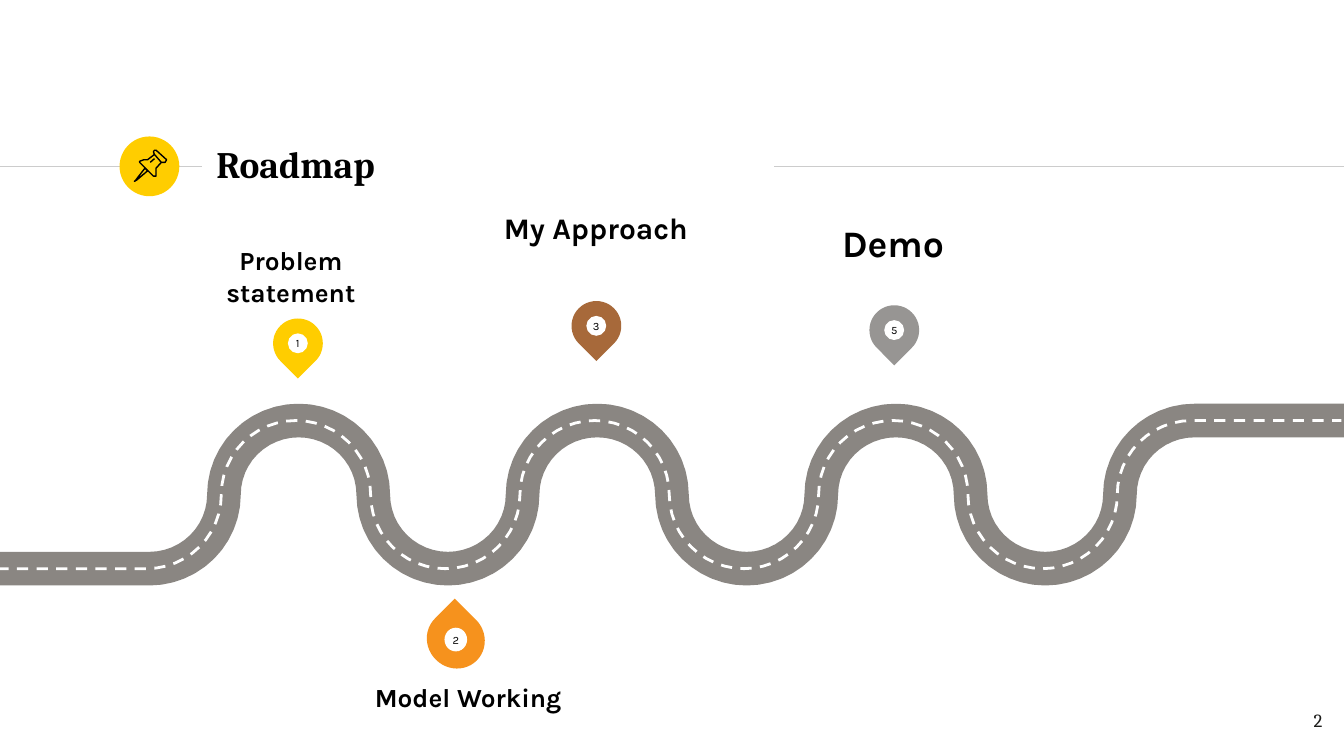
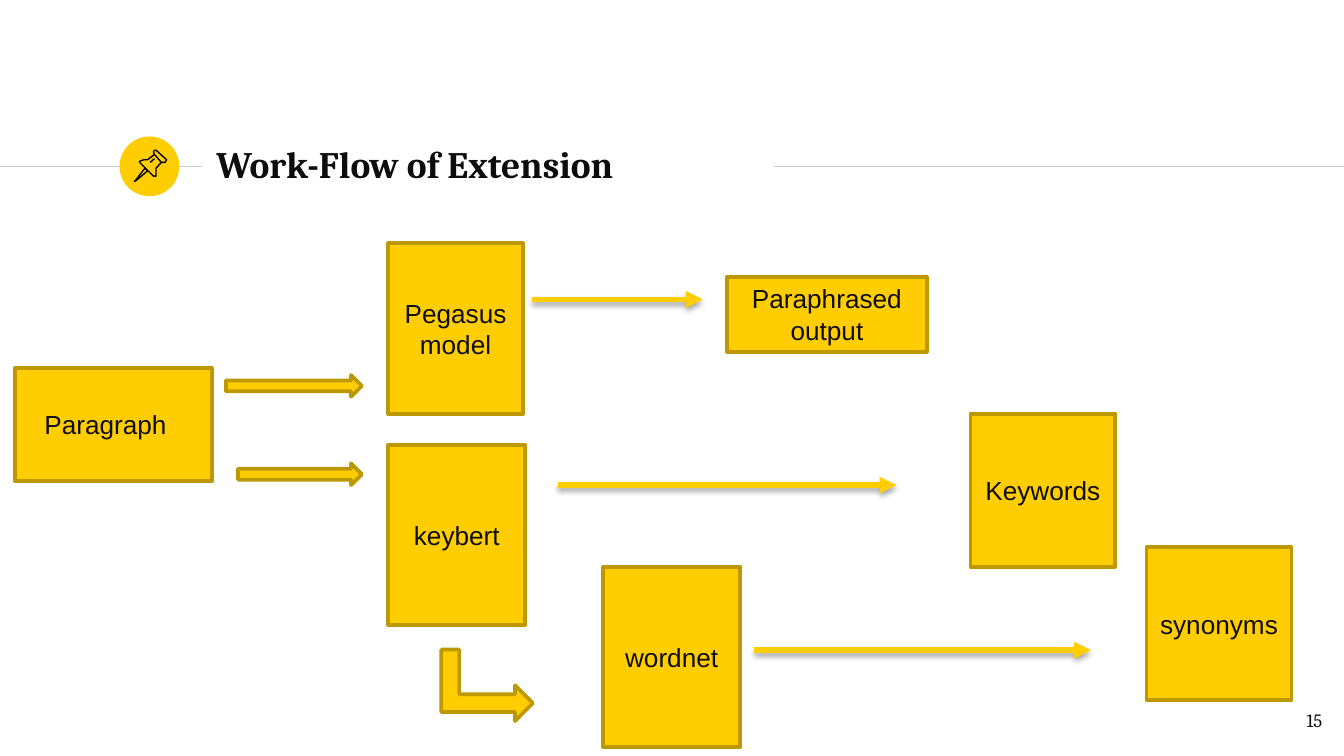
from math import cos, pi, sin

from lxml.etree import SubElement
from pptx import Presentation
from pptx.dml.color import RGBColor
from pptx.enum.dml import MSO_LINE
from pptx.enum.shapes import MSO_CONNECTOR, MSO_SHAPE
from pptx.enum.text import MSO_ANCHOR, PP_ALIGN
from pptx.oxml.ns import qn
from pptx.util import Cm, Pt

COLORS = {
    "yellow": "FFCD00", "gold": "BD9800", "brown": "A7693A",
    "gray": "979593", "orange": "F6921D", "road": "8A8682",
    "rule": "CCCCCC", "black": "000000", "white": "FFFFFF",
    "ink": "0D0D0D", "number": "1D1D1B",
}
WIDTH, HEIGHT = 25.4, 14.29

RULES = [(0, 3.81), (14.63, 25.4)]
RULE_Y = 3.15
PUSHPIN = [
    ([(2.74, 3.18), (2.57, 3.4), (2.54, 3.43), (2.59, 3.4), (2.79, 3.23)], True),
    ([(2.92, 2.92), (3.05, 3.07), (3.12, 3.07), (3.15, 3.02), (2.95, 2.84),
      (2.92, 2.84), (2.9, 2.87)], True),
    ([(2.92, 2.92), (2.79, 3.02), (2.72, 3.02), (2.64, 3.05), (2.64, 3.07),
      (2.9, 3.33), (2.95, 3.33), (2.95, 3.18), (3.05, 3.07)], False),
    ([(2.84, 3.07), (2.92, 3)], False),
]

ROAD_STEP, ROAD_MID, ROAD_RISE = WIDTH / 18, 9.35, 1.4
ROAD_TURNS = 8
ROAD_LAYERS = [(0, "road", 18, None), (-0.05, "white", 1.5, MSO_LINE.DASH)]

MARKERS = [
    ("1", "yellow", (5.16, 6.02, 0.94, 0.94), 135),
    ("3", "brown", (10.8, 5.69, 0.94, 0.94), 135),
    ("5", "gray", (16.43, 5.77, 0.94, 0.94), 135),
    ("2", "orange", (8.08, 11.53, 1.07, 1.12), 315),
]
STOPS = [
    ("Problem statement", 3.71, 4.34, 14, MSO_ANCHOR.BOTTOM, 0),
    ("My Approach", 9.47, 3.84, 16, MSO_ANCHOR.BOTTOM, 0.66),
    ("Demo", 15.09, 3.53, 20, MSO_ANCHOR.BOTTOM, 0),
    ("Model Working", 7.06, 12.88, 14, MSO_ANCHOR.TOP, 0),
]

BOXES = [
    ("Paragraph", (0.28, 6.96, 3.73, 2.13), 0.5),
    ("Pegasus model", (7.34, 4.6, 2.54, 3.23), 0.2),
    ("Paraphrased\noutput", (13.74, 5.23, 3.78, 1.42), 0.2),
    ("keybert", (7.34, 8.41, 2.59, 3.4), 0.2),
    ("wordnet", (11.4, 10.72, 2.59, 3.4), 0.2),
    ("Keywords", (18.34, 7.82, 2.74, 2.9), 0.2),
    ("synonyms", (21.67, 10.34, 2.74, 2.9), 0.2),
]
BLOCK_ARROWS = [
    (MSO_SHAPE.RIGHT_ARROW, (4.27, 7.09, 2.57, 0.41), 0),
    (MSO_SHAPE.RIGHT_ARROW, (4.5, 8.76, 2.34, 0.41), 0),
    (MSO_SHAPE.BENT_UP_ARROW, (8.53, 12.09, 1.35, 1.73), 90),
]
FLOW_ARROWS = [(10.54, 16.94, 9.17), (10.06, 13.28, 5.66), (14.25, 20.62, 12.29)]


def rgb(name):
    return RGBColor.from_string(COLORS[name])


def set_line(sp, color, width):
    sp.line.color.rgb = rgb(color)
    sp.line.width = Pt(width)


def add_shape(shapes, kind, box, fill, line=None, rotation=0):
    sp = shapes.add_shape(kind, *map(Cm, box))
    sp.shadow.inherit = False
    sp.rotation = rotation
    sp.fill.solid()
    sp.fill.fore_color.rgb = rgb(fill)
    if line:
        set_line(sp, line, 2)
    else:
        sp.line.fill.background()
    return sp


def add_path(shapes, points, color, width, closed=False):
    pts = [(Cm(x), Cm(y)) for x, y in points]
    builder = shapes.build_freeform(*pts[0])
    builder.add_line_segments(pts[1:], close=closed)
    sp = builder.convert_to_shape()
    sp.shadow.inherit = False
    sp.fill.background()
    set_line(sp, color, width)
    return sp


def add_line(slide, x1, x2, y, color, width):
    cx = slide.shapes.add_connector(
        MSO_CONNECTOR.STRAIGHT, Cm(x1), Cm(y), Cm(x2), Cm(y))
    set_line(cx, color, width)
    effects = SubElement(cx._element.spPr, qn("a:effectLst"))
    return cx, effects


def write(sp, text, font, size, color, bold=False, align=PP_ALIGN.CENTER,
          anchor=MSO_ANCHOR.MIDDLE, insets=(0, 0, 0, 0)):
    tf = sp.text_frame
    tf.word_wrap = True
    tf.vertical_anchor = anchor
    tf.margin_left, tf.margin_top, tf.margin_right, tf.margin_bottom = map(Cm, insets)
    tf.text = text
    for p in tf.paragraphs:
        p.alignment = align
        p.font.name = font
        p.font.size = Pt(size)
        p.font.bold = bold
        p.font.color.rgb = rgb(color)


def add_text(slide, box, *args, **options):
    write(slide.shapes.add_textbox(*map(Cm, box)), *args, **options)


def add_base(prs, title, number, title_color, number_color):
    slide = prs.slides.add_slide(prs.slide_layouts[5])
    for x1, x2 in RULES:
        add_line(slide, x1, x2, RULE_Y, "rule", 0.75)
    add_shape(slide.shapes, MSO_SHAPE.OVAL, (2.26, 2.58, 1.13, 1.13), "yellow")
    icon = slide.shapes.add_group_shape()
    for points, closed in PUSHPIN:
        add_path(icon.shapes, points, "black", 0.75, closed)
    sp = slide.shapes.title
    sp.left, sp.top, sp.width, sp.height = map(Cm, (3.84, 2.49, 10.77, 1.22))
    write(sp, title, "Cambria", 20, title_color, True, PP_ALIGN.LEFT,
          insets=[0.25] * 4)
    add_text(slide, (23.72, 13.18, 1.52, 1.09), number, "Cambria", 10,
             number_color, align=PP_ALIGN.RIGHT, anchor=MSO_ANCHOR.TOP,
             insets=[0.25] * 4)
    return slide


def road_points(shift):
    points = [(0, 1)]
    for i in range(ROAD_TURNS):
        side = 1 if i % 2 == 0 else -1
        first = 12 if i == 0 else 0
        last = 12 if i == ROAD_TURNS - 1 else 24
        for k in range(first, last + 1):
            t = pi * k / 24
            points.append((2 + 2 * i - cos(t), side * sin(t)))
    points.append((18, -1))
    return [(x * ROAD_STEP + shift, ROAD_MID + y * ROAD_RISE) for x, y in points]


def add_roadmap(prs):
    slide = add_base(prs, "Roadmap", "2", "black", "number")
    for shift, color, width, dash in ROAD_LAYERS:
        sp = add_path(slide.shapes, road_points(shift), color, width)
        if dash:
            sp.line.dash_style = dash
    for number, color, box, rotation in MARKERS:
        x, y, w, h = box
        group = slide.shapes.add_group_shape()
        add_shape(group.shapes, MSO_SHAPE.TEAR, box, color, rotation=rotation)
        dot = add_shape(group.shapes, MSO_SHAPE.OVAL,
                        (x + 0.3 * w, y + 0.3 * h, 0.4 * w, 0.4 * h), "white")
        write(dot, number, "Karla", 6, "black")
    for text, x, y, size, anchor, bottom in STOPS:
        add_text(slide, (x, y, 3.58, 1.47), text, "Karla", size, "black", True,
                 anchor=anchor, insets=(0, 0, 0, bottom))


def add_flow_arrow(slide, x1, x2, y):
    cx, effects = add_line(slide, x1, x2, y, "yellow", 3)
    SubElement(cx.line._get_or_add_ln(), qn("a:tailEnd"), type="triangle")
    shadow = SubElement(effects, qn("a:outerShdw"), blurRad="40000",
                        dist="23000", dir="5400000", rotWithShape="0")
    color = SubElement(shadow, qn("a:srgbClr"), val=COLORS["black"])
    SubElement(color, qn("a:alpha"), val="35000")


def add_workflow(prs):
    slide = add_base(prs, "Work-Flow of Extension", "15", "ink", "ink")
    for text, box, right in BOXES:
        sp = add_shape(slide.shapes, MSO_SHAPE.RECTANGLE, box, "yellow", "gold")
        write(sp, text, "Arial", 14, "ink", insets=(0.2, 0.13, right, 0.13))
    for kind, box, rotation in BLOCK_ARROWS:
        add_shape(slide.shapes, kind, box, "yellow", "gold", rotation)
    for arrow in FLOW_ARROWS:
        add_flow_arrow(slide, *arrow)


def main():
    prs = Presentation()
    prs.slide_width, prs.slide_height = Cm(WIDTH), Cm(HEIGHT)
    add_roadmap(prs)
    add_workflow(prs)
    prs.save("out.pptx")


if __name__ == "__main__":
    main()
